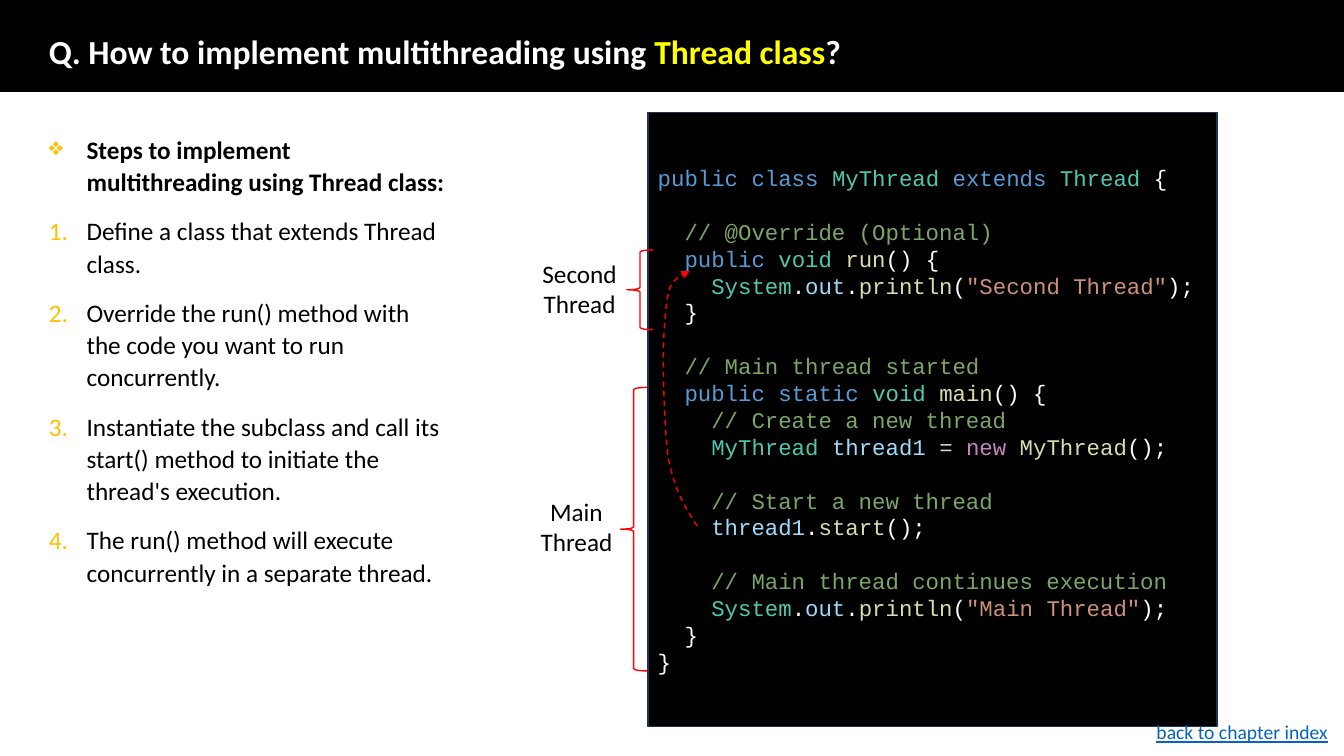
from lxml import etree
from pptx import Presentation
from pptx.dml.color import RGBColor
from pptx.enum.dml import MSO_LINE
from pptx.enum.shapes import MSO_SHAPE
from pptx.enum.text import MSO_ANCHOR, PP_ALIGN
from pptx.oxml.ns import qn
from pptx.util import Pt

PX = 9525
RECTANGLE, LEFT_BRACE = MSO_SHAPE.RECTANGLE, MSO_SHAPE.LEFT_BRACE
MIDDLE = MSO_ANCHOR.MIDDLE
LEFT, CENTER = PP_ALIGN.LEFT, PP_ALIGN.CENTER
DASH = MSO_LINE.DASH

BLACK, WHITE, RED, YELLOW = "000000", "FFFFFF", "FF0000", "FFFF00"
GOLD, NAVY, LINK = "FFC000", "1E3256", "0563C1"
KEYWORD, TYPE, FUNCTION, VARIABLE = "569CD6", "4EC9B0", "DCDCAA", "9CDCFE"
COMMENT, STRING, OPERATOR, NEW = "7CA668", "CE9178", "D4D4D4", "C586C0"

CODE_LINE_POINTS = 19.2
STEPS = [
    "Define a class that extends Thread class.",
    "Override the run() method with the code you want to run concurrently.",
    "Instantiate the subclass and call its start() method to initiate the thread's execution.",
    "The run() method will execute concurrently in a separate thread.",
]


def print_call(message):
    return [("    ", WHITE), ("System", TYPE), (".", WHITE), ("out", VARIABLE), (".", WHITE),
            ("println", FUNCTION), ("(", WHITE), (f'"{message}"', STRING), (");", WHITE)]


# An empty list stands for one blank line of code.
CODE = [
    [("public ", KEYWORD), ("class ", KEYWORD), ("MyThread ", TYPE),
     ("extends ", KEYWORD), ("Thread ", TYPE), ("{", WHITE)],
    [],
    [("  // @Override (Optional)", COMMENT)],
    [("  public ", KEYWORD), ("void ", TYPE), ("run", FUNCTION), ("() {", WHITE)],
    print_call("Second Thread"),
    [("  }", WHITE)],
    [],
    [("  // Main thread started", COMMENT)],
    [("  public ", KEYWORD), ("static ", KEYWORD), ("void ", TYPE),
     ("main", FUNCTION), ("() {", WHITE)],
    [("    // Create a new thread", COMMENT)],
    [("    MyThread ", TYPE), ("thread1 ", VARIABLE), ("= ", OPERATOR),
     ("new ", NEW), ("MyThread", FUNCTION), ("();", WHITE)],
    [],
    [("    // Start a new thread", COMMENT)],
    [("    thread1", VARIABLE), (".", WHITE), ("start", FUNCTION), ("();", WHITE)],
    [],
    [("    // Main thread continues execution", COMMENT)],
    print_call("Main Thread"),
    [("  }", WHITE)],
    [("}", WHITE)],
]


def rgb(color):
    return RGBColor.from_string(color)


def add_run(paragraph, text, *, size=18, color=BLACK, font="Calibri", bold=False, underline=False):
    run = paragraph.add_run()
    run.text = text
    run.font.name = font
    run.font.size = Pt(size)
    run.font.bold = bold
    run.font.underline = underline
    run.font.color.rgb = rgb(color)


def add_text_box(slide, left, top, width, height):
    frame = slide.shapes.add_textbox(left * PX, top * PX, width * PX, height * PX).text_frame
    frame.word_wrap = True
    return frame


def add_text(slide, box, text, align=LEFT, **text_format):
    paragraph = add_text_box(slide, *box).paragraphs[0]
    paragraph.alignment = align
    add_run(paragraph, text, **text_format)


def style_shape(shape, line, fill=None):
    shape.shadow.inherit = False
    if fill:
        shape.fill.solid()
        shape.fill.fore_color.rgb = rgb(fill)
    else:
        shape.fill.background()
    shape.line.color.rgb = rgb(line)
    shape.line.width = Pt(1)


def add_preset(slide, kind, left, top, width, height, line, fill=None):
    shape = slide.shapes.add_shape(kind, left * PX, top * PX, width * PX, height * PX)
    style_shape(shape, line, fill)
    return shape


def add_bullet(paragraph, tag, **attributes):
    properties = paragraph._p.get_or_add_pPr()
    properties.set("marL", str(36 * PX))
    properties.set("indent", str(-36 * PX))
    color = etree.SubElement(properties, qn("a:buClr"))
    etree.SubElement(color, qn("a:srgbClr"), val=GOLD)
    etree.SubElement(properties, qn(tag), **attributes)


def add_title(slide):
    add_preset(slide, RECTANGLE, 0, 0, 1280, 87, BLACK, BLACK)
    frame = add_text_box(slide, 37, 34, 1123, 34)
    frame.vertical_anchor = MIDDLE
    paragraph = frame.paragraphs[0]
    paragraph.line_spacing = 0.9
    for text, color in [("Q. How to implement multithreading using ", WHITE),
                        ("Thread class", YELLOW), ("?", WHITE)]:
        add_run(paragraph, text, size=24, color=color, bold=True)


def add_steps(slide):
    frame = add_text_box(slide, 37, 121, 399, 446)
    heading = frame.paragraphs[0]
    add_bullet(heading, "a:buChar", char="❖")
    heading.line_spacing = 1.07
    add_run(heading, "Steps to implement multithreading using Thread class:", bold=True)
    for step in STEPS:
        paragraph = frame.add_paragraph()
        add_bullet(paragraph, "a:buAutoNum", type="arabicPeriod")
        paragraph.line_spacing = 1.07
        paragraph.space_before = Pt(12)
        add_run(paragraph, step)


def add_code(slide):
    frame = add_preset(slide, RECTANGLE, 617, 107, 542, 585, NAVY, BLACK).text_frame
    frame.word_wrap = True
    frame.vertical_anchor = MIDDLE
    paragraph, after_blank = frame.paragraphs[0], False
    for number, tokens in enumerate(CODE):
        if not tokens:
            after_blank = True
            continue
        if number:
            paragraph = frame.add_paragraph()
        paragraph.alignment = LEFT
        paragraph.line_spacing = Pt(CODE_LINE_POINTS)
        if after_blank:
            paragraph.space_before = Pt(CODE_LINE_POINTS)
        after_blank = False
        for text, color in tokens:
            add_run(paragraph, text, size=16, color=color, font="Courier New")


def add_curved_arrow(slide, start, curves):
    """Draw a dashed arrow; each curve is two control points and an end point."""
    ends = [curve[-1] for curve in curves]
    builder = slide.shapes.build_freeform(*start, scale=PX)
    builder.add_line_segments(ends, close=False)
    shape = builder.convert_to_shape()
    left = min(x for x, _ in [start, *ends])
    top = min(y for _, y in [start, *ends])
    for segment, curve in zip(list(shape._element.iter(qn("a:lnTo"))), curves):
        bezier = etree.Element(qn("a:cubicBezTo"))
        for x, y in curve:
            etree.SubElement(bezier, qn("a:pt"), x=str(x - left), y=str(y - top))
        segment.getparent().replace(segment, bezier)
    style_shape(shape, RED)
    shape.line.dash_style = DASH
    etree.SubElement(shape.line._get_or_add_ln(), qn("a:tailEnd"), type="triangle")


def main():
    presentation = Presentation()
    presentation.slide_width, presentation.slide_height = 1280 * PX, 720 * PX
    slide = presentation.slides.add_slide(presentation.slide_layouts[6])
    add_title(slide)
    add_code(slide)
    add_curved_arrow(slide, (664, 501), [
        [(653, 484), (642, 467), (636, 433)],
        [(632, 398), (630, 326), (634, 298)],
        [(636, 268), (647, 263), (657, 258)],
    ])
    add_steps(slide)
    for label, label_box, brace_box in [
        ("Main Thread", (483, 468, 132, 68), (591, 369, 25, 270)),
        ("Second Thread", (486, 241, 132, 68), (597, 238, 25, 76)),
    ]:
        add_preset(slide, LEFT_BRACE, *brace_box, RED)
        add_text(slide, label_box, label, CENTER)
    add_text(slide, (1092, 681, 188, 33), "back to chapter index", size=14, color=LINK, underline=True)
    presentation.save("out.pptx")


if __name__ == "__main__":
    main()
